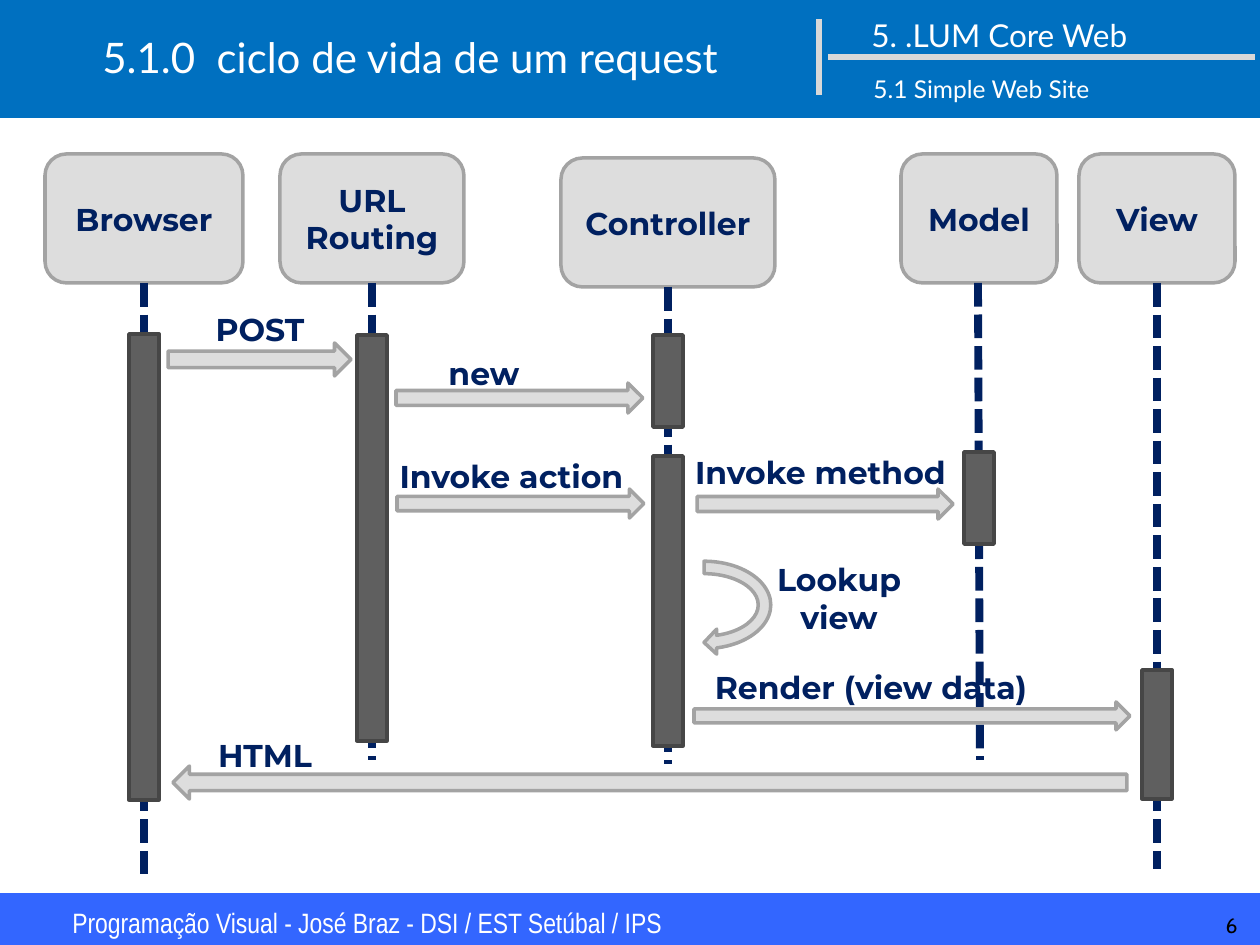
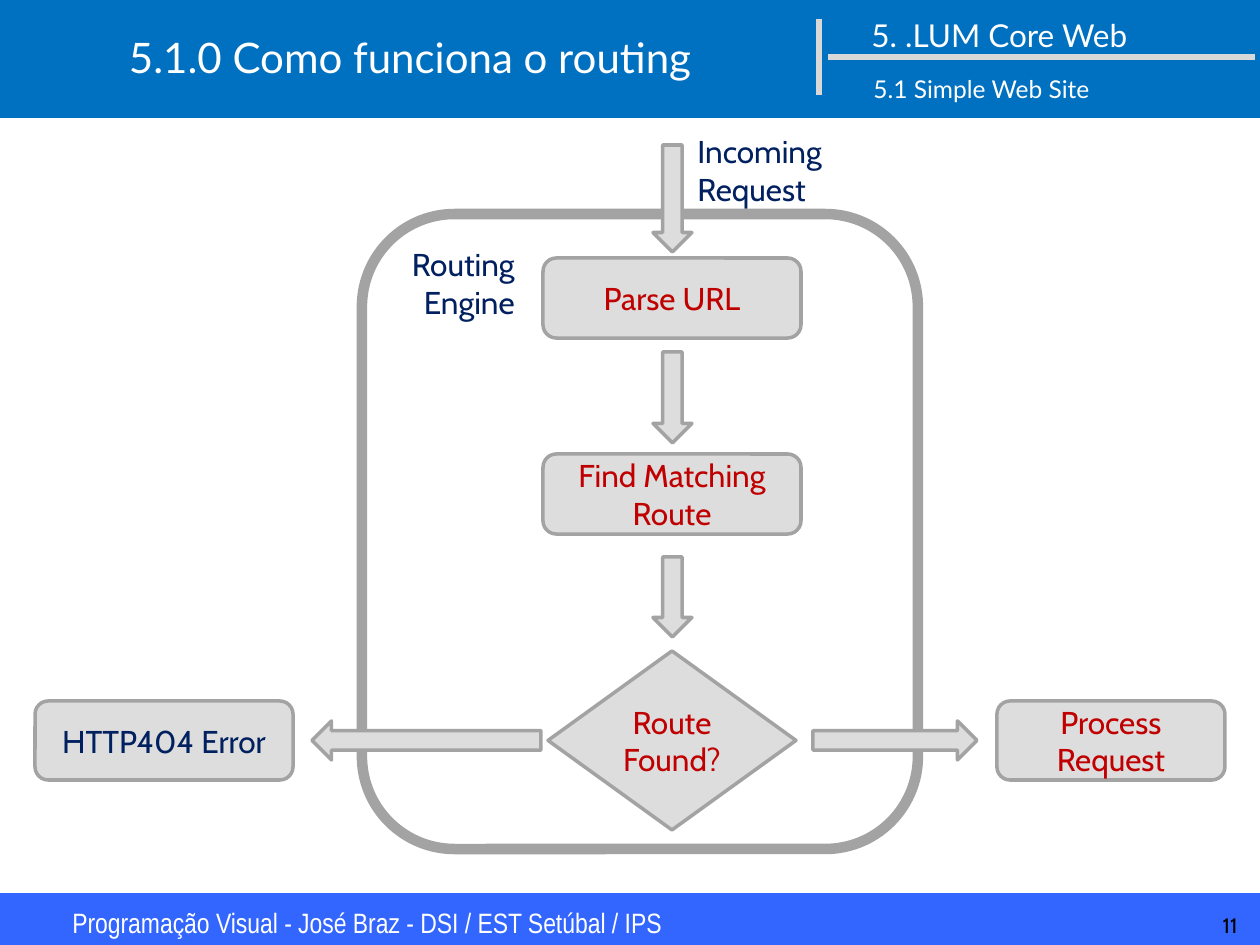
from dataclasses import dataclass
from typing import NamedTuple, Optional

from pptx import Presentation
from pptx.dml.color import RGBColor
from pptx.enum.dml import MSO_LINE
from pptx.enum.shapes import MSO_CONNECTOR, MSO_SHAPE
from pptx.enum.text import MSO_ANCHOR, PP_ALIGN
from pptx.oxml.ns import qn
from pptx.shapes.autoshape import Shape
from pptx.slide import Slide
from pptx.util import Emu, Pt

WIDE, HIGH = 1260, 945
SCALE = 914400 / 126

WHITE = RGBColor(0xFF, 0xFF, 0xFF)
BLACK = RGBColor(0x00, 0x00, 0x00)
BLUE = RGBColor(0x00, 0x70, 0xC0)
VIOLET = RGBColor(0x33, 0x66, 0xFF)
RULE = RGBColor(0xD8, 0xD8, 0xD8)
NAVY = RGBColor(0x00, 0x20, 0x60)
RED = RGBColor(0xC0, 0x00, 0x00)
PALE = RGBColor(0xDD, 0xDD, 0xDD)
GREY = RGBColor(0xA3, 0xA3, 0xA3)
DARK = RGBColor(0x5F, 0x5F, 0x5F)
EDGE = RGBColor(0x46, 0x46, 0x46)

LEFT, MID, RIGHT = PP_ALIGN.LEFT, PP_ALIGN.CENTER, PP_ALIGN.RIGHT


class Rect(NamedTuple):
    x: int
    y: int
    w: int
    h: int


class Font(NamedTuple):
    name: str
    size: int
    color: RGBColor
    bold: bool = False


TITLE = Font("Lato", 24, WHITE)
PART = Font("Lato", 18, WHITE)
TOPIC = Font("Lato", 14, WHITE)
FOOTER = Font("Arial Narrow", 16, WHITE)
NUMBER = Font("Cabin", 12, BLACK)
STRONG = Font("Montserrat", 18, NAVY, True)
NOTE = Font("Cabin", 18, NAVY)
STEP = Font("Cabin", 18, RED)


@dataclass
class Actor:
    """A lifeline: header box, dashed line and (top, height) bars."""
    name: str
    x: int
    width: int
    end: int
    bars: list[tuple[int, int]]
    top: int = 154
    lean: int = 0


@dataclass
class Call:
    """A message: arrow plus the place of its label."""
    name: str
    arrow: Rect
    label: Rect
    kind: MSO_SHAPE = MSO_SHAPE.RIGHT_ARROW


@dataclass
class Node:
    name: str
    area: Rect
    font: Font = STEP
    kind: MSO_SHAPE = MSO_SHAPE.ROUNDED_RECTANGLE


ACTORS = [
    Actor("Browser", 144, 198, 879, [(334, 466)]),
    Actor("URL Routing", 372, 184, 760, [(335, 406)]),
    Actor("Controller", 668, 214, 764, [(335, 92), (456, 290)], top=158),
    Actor("Model", 979, 156, 760, [(452, 92)], lean=1),
    Actor("View", 1157, 156, 869, [(670, 129)]),
]
CALLS = [
    Call("POST", Rect(168, 343, 183, 33), Rect(199, 304, 122, 50)),
    Call("new", Rect(396, 383, 247, 30), Rect(423, 348, 122, 50)),
    Call("Invoke action", Rect(397, 489, 247, 29), Rect(368, 451, 287, 50)),
    Call("Invoke method", Rect(697, 489, 256, 30), Rect(677, 447, 287, 50)),
    Call("Render (view data)", Rect(694, 702, 436, 28),
         Rect(679, 662, 384, 50)),
    Call("HTML", Rect(173, 766, 954, 33), Rect(194, 730, 142, 50),
         MSO_SHAPE.LEFT_ARROW),
]
NODES = [
    Node("Parse URL", Rect(543, 258, 258, 80)),
    Node("Find Matching Route", Rect(543, 454, 258, 80)),
    Node("Route Found?", Rect(548, 651, 248, 179), kind=MSO_SHAPE.DIAMOND),
    Node("Process Request", Rect(997, 701, 228, 79)),
    Node("HTTP404 Error", Rect(35, 701, 258, 79), NOTE),
]
ARROWS = [
    (MSO_SHAPE.DOWN_ARROW, Rect(653, 145, 39, 107)),
    (MSO_SHAPE.DOWN_ARROW, Rect(653, 352, 39, 91)),
    (MSO_SHAPE.DOWN_ARROW, Rect(653, 557, 39, 80)),
    (MSO_SHAPE.RIGHT_ARROW, Rect(813, 721, 164, 39)),
    (MSO_SHAPE.LEFT_ARROW, Rect(312, 721, 229, 39)),
]


def px(n: int) -> Emu:
    return Emu(round(n * SCALE))


def write(shape: Shape, text: str, font: Font, align: PP_ALIGN,
          anchor: MSO_ANCHOR) -> None:
    frame = shape.text_frame
    frame.text = text
    frame.word_wrap = True
    frame.vertical_anchor = anchor
    for para in frame.paragraphs:
        para.alignment = align
        for run in para.runs:
            run.font.name = font.name
            run.font.size = Pt(font.size)
            run.font.bold = font.bold
            run.font.color.rgb = font.color


def label(slide: Slide, text: str, area: Rect, font: Font,
          align: PP_ALIGN = LEFT,
          anchor: MSO_ANCHOR = MSO_ANCHOR.TOP) -> None:
    box = slide.shapes.add_textbox(*map(px, area))
    write(box, text, font, align, anchor)


def draw(slide: Slide, kind: MSO_SHAPE, area: Rect,
         fill: Optional[RGBColor] = PALE, line: Optional[RGBColor] = GREY,
         width: int = 2) -> Shape:
    shape = slide.shapes.add_shape(kind, *map(px, area))
    shape.shadow.inherit = False
    if fill is None:
        shape.fill.background()
    else:
        shape.fill.solid()
        shape.fill.fore_color.rgb = fill
    if line is None:
        shape.line.fill.background()
    else:
        shape.line.color.rgb = line
        shape.line.width = Pt(width)
    return shape


def block(slide: Slide, node: Node) -> None:
    """Draw a shape with centred text in it."""
    shape = draw(slide, node.kind, node.area)
    write(shape, node.name, node.font, MID, MSO_ANCHOR.MIDDLE)
    shape.text_frame.margin_left = shape.text_frame.margin_right = px(6)


def rule(slide: Slide, start: tuple[int, int], end: tuple[int, int],
         color: RGBColor, width: float,
         dash: Optional[MSO_LINE] = None) -> None:
    line = slide.shapes.add_connector(
        MSO_CONNECTOR.STRAIGHT, *map(px, start + end))
    line.line.color.rgb = color
    line.line.width = Pt(width)
    if dash is not None:
        line.line.dash_style = dash
    props = line._element.spPr
    props.append(props.makeelement(qn("a:effectLst"), {}))


def page(deck: Presentation, title: str, number: int) -> Slide:
    """Add a slide with the shared bands, headings and footer."""
    slide = deck.slides.add_slide(deck.slide_layouts[6])
    draw(slide, MSO_SHAPE.RECTANGLE, Rect(0, 893, WIDE, 55), VIOLET, None)
    draw(slide, MSO_SHAPE.RECTANGLE, Rect(0, 0, WIDE, 118), BLUE, None)
    rule(slide, (819, 19), (819, 95), RULE, 3)
    rule(slide, (828, 57), (1255, 57), RULE, 3)
    label(slide, "Programação Visual - José Braz - DSI / EST Setúbal / IPS",
          Rect(60, 899, 728, 47), FOOTER)
    middle = MSO_ANCHOR.MIDDLE
    label(slide, title, Rect(11, 19, 798, 76), TITLE, MID, middle)
    label(slide, "5. .LUM Core Web", Rect(859, 13, 363, 43), PART, LEFT,
          middle)
    label(slide, "5.1 Simple Web Site", Rect(861, 67, 363, 43), TOPIC, LEFT,
          middle)
    label(slide, str(number), Rect(1155, 906, 95, 30), NUMBER, RIGHT)
    return slide


def lifeline(slide: Slide, actor: Actor) -> None:
    head = Rect(actor.x - actor.width // 2, actor.top, actor.width, 129)
    block(slide, Node(actor.name, head, STRONG))
    rule(slide, (actor.x - actor.lean, head.y + head.h),
         (actor.x + actor.lean, actor.end), NAVY, 4.5, MSO_LINE.SQUARE_DOT)
    for top, high in actor.bars:
        draw(slide, MSO_SHAPE.RECTANGLE, Rect(actor.x - 15, top, 30, high),
             DARK, EDGE)


def cycle(deck: Presentation) -> None:
    """Sequence diagram of a request."""
    slide = page(deck, "5.1.0  ciclo de vida de um request", 6)
    for actor in ACTORS:
        lifeline(slide, actor)
    for call in CALLS:
        draw(slide, call.kind, call.arrow)
        label(slide, call.name, call.label, STRONG, MID)
    loop = draw(slide, MSO_SHAPE.CIRCULAR_ARROW, Rect(654, 532, 100, 146))
    loop.rotation = 90
    label(slide, "Lookup view", Rect(761, 554, 156, 90), STRONG, MID)


def routing(deck: Presentation) -> None:
    """Flow chart of the routing engine."""
    slide = page(deck, "5.1.0 Como funciona o routing", 11)
    draw(slide, MSO_SHAPE.ROUNDED_RECTANGLE, Rect(362, 214, 556, 635),
         None, GREY, 6)
    for node in NODES:
        block(slide, node)
    for kind, area in ARROWS:
        draw(slide, kind, area)
    label(slide, "Incoming Request", Rect(685, 126, 198, 90), NOTE)
    label(slide, "Routing Engine", Rect(382, 239, 145, 90), NOTE, RIGHT)


def main() -> None:
    deck = Presentation()
    deck.slide_width, deck.slide_height = px(WIDE), px(HIGH)
    cycle(deck)
    routing(deck)
    deck.save("out.pptx")


if __name__ == "__main__":
    main()
